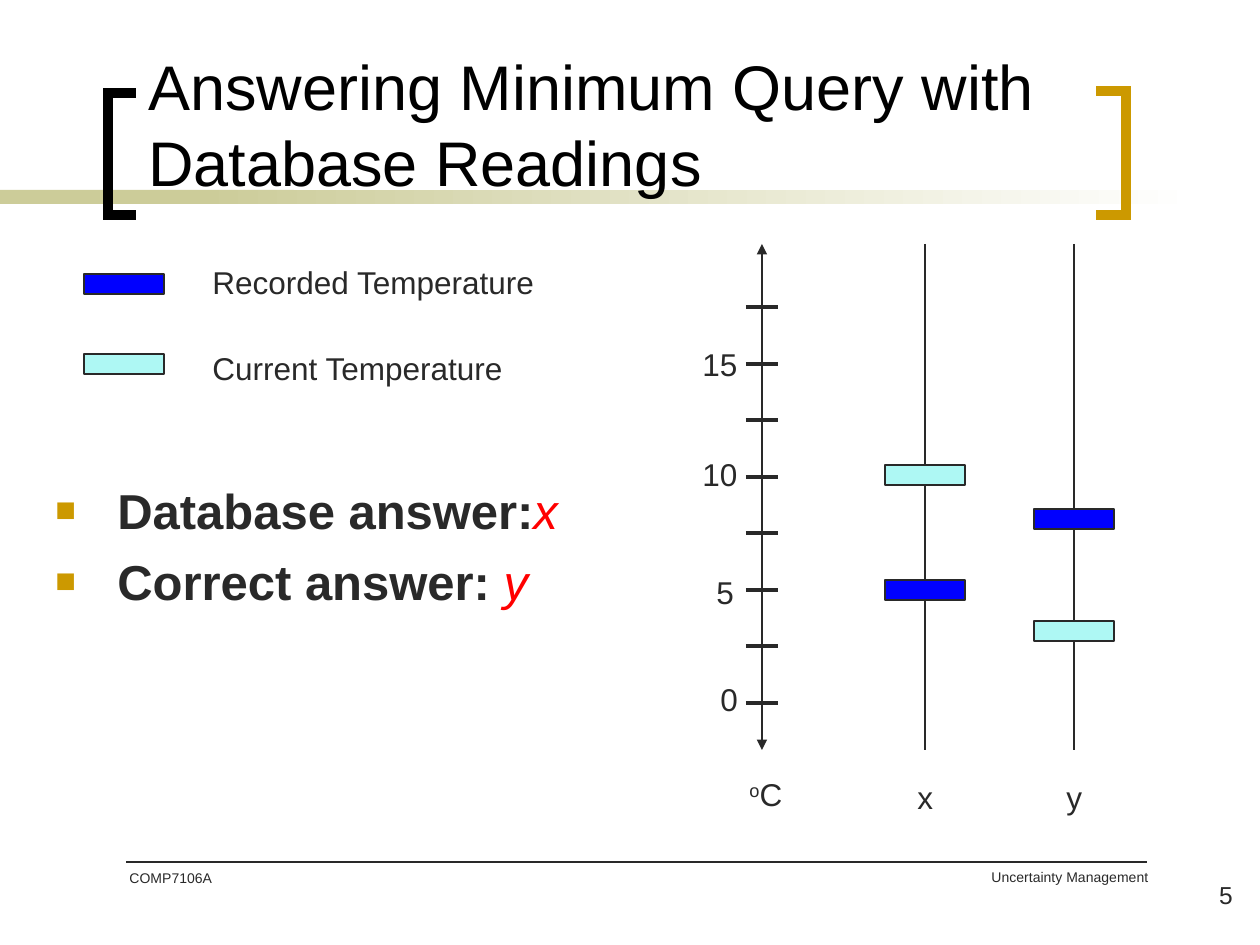
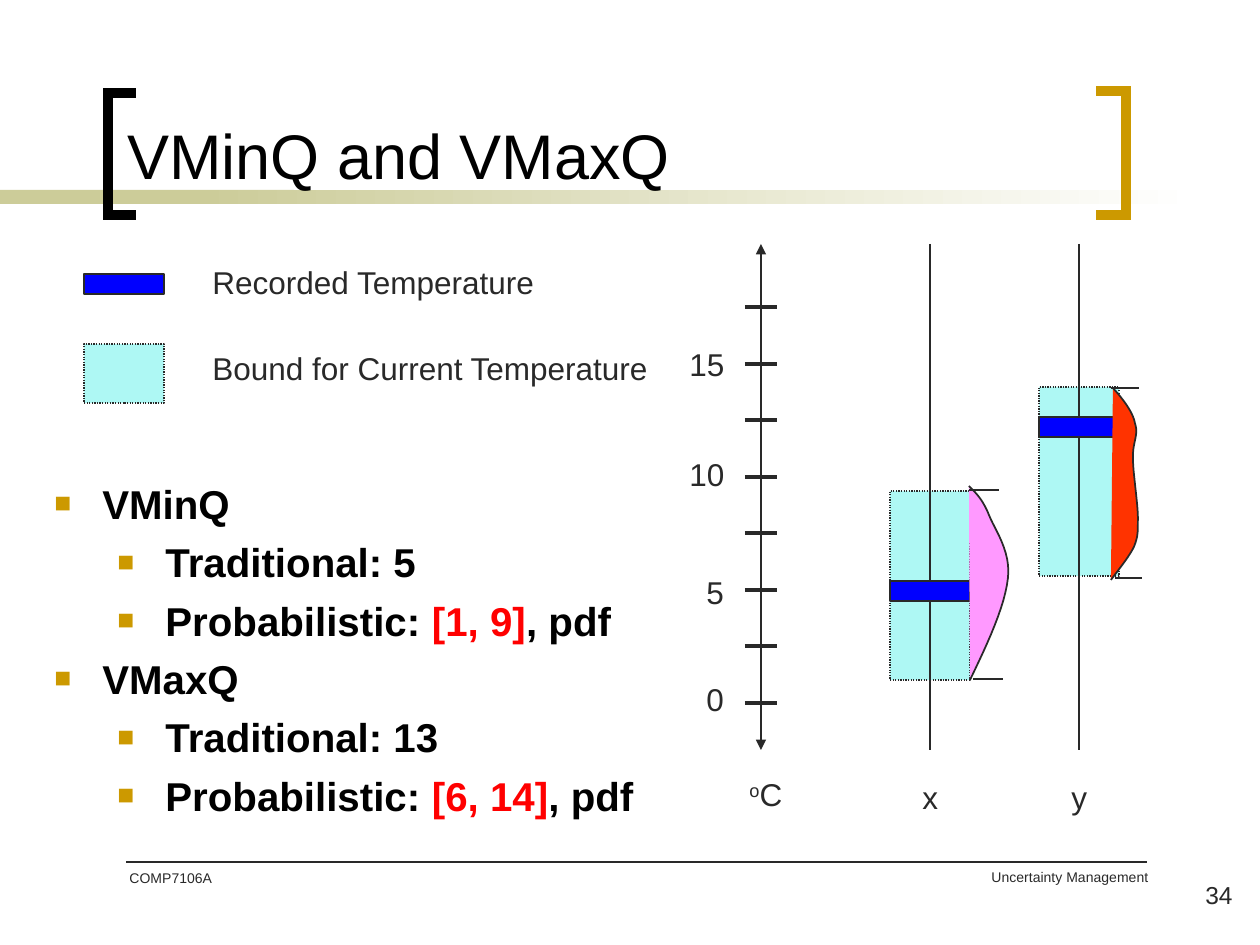
from lxml import etree
from pptx import Presentation
from pptx.dml.color import RGBColor
from pptx.enum.dml import MSO_LINE
from pptx.enum.shapes import MSO_CONNECTOR, MSO_SHAPE
from pptx.enum.text import MSO_ANCHOR, MSO_AUTO_SIZE, PP_ALIGN
from pptx.oxml.ns import qn
from pptx.util import Emu, Pt

STRAIGHT = MSO_CONNECTOR.STRAIGHT
RECTANGLE = MSO_SHAPE.RECTANGLE
DOTTED = MSO_LINE.ROUND_DOT
BOTTOM, TOP = MSO_ANCHOR.BOTTOM, MSO_ANCHOR.TOP
LEFT, RIGHT = PP_ALIGN.LEFT, PP_ALIGN.RIGHT
GROW = MSO_AUTO_SIZE.SHAPE_TO_FIT_TEXT

PX_PER_INCH = 126
FONT = "Arial"
COLORS = {
    "ink": "292929", "black": "000000", "white": "FFFFFF", "gold": "CC9900",
    "band": "CCCC99", "recorded": "0000FF", "current": "AEF8F4",
    "answer": "FF0000", "x_pdf": "FF99FF", "y_pdf": "FF3300",
}

# Content shared by both slides
COURSE, TOPIC = "COMP7106A", "Uncertainty Management"
BRACKETS = [
    ("black", [(136, 215), (108, 215), (108, 93), (136, 93)]),
    ("gold", [(1096, 91), (1126, 91), (1126, 215), (1096, 215)]),
]
AXIS_TOP, AXIS_BOTTOM = 244, 750
TICK_COUNT, FIRST_TICK, LAST_TICK = 8, 307, 703
SCALE_TOPS = {"15": 339, "10": 449, "5": 567, "0": 674}
BAR_WIDTH, BAR_HEIGHT = 80, 20

# Bars are (column, colour, top, height); dotted bars are bounds behind the lines.
# Curves hold a start point and then cubic segments of three points.
SLIDES = [
    {
        "number": "5",
        "title": "Answering Minimum Query with Database Readings",
        "title_box": (136, 74, 1134, 131),
        "legend": [("Recorded Temperature", "recorded", 274, BAR_HEIGHT, False),
                   ("Current Temperature", "current", 354, BAR_HEIGHT, False)],
        "body_box": (43, 474, 553, 344),
        "body_size": 28,
        "body_indent": 62,
        "body_color": "ink",
        "answer_style": {"bold": False, "italic": True},
        "body": [(0, [("Database answer:", False), ("x", True)]),
                 (0, [("Correct answer: ", False), ("y", True)])],
        "axis": 762,
        "scale_lefts": {"15": 690, "10": 690, "5": 704, "0": 708},
        "columns": {"x": 925, "y": 1074},
        "bounds": [],
        "bars": [("x", "current", 465, BAR_HEIGHT), ("y", "current", 621, BAR_HEIGHT),
                 ("x", "recorded", 580, BAR_HEIGHT), ("y", "recorded", 509, BAR_HEIGHT)],
        "densities": [],
    },
    {
        "number": "34",
        "title": "VMinQ and VMaxQ",
        "title_box": (115, 67, 1024, 131),
        "legend": [("Recorded Temperature", "recorded", 274, BAR_HEIGHT, False),
                   ("Bound for Current Temperature", "current", 344, 59, True)],
        "body_box": (42, 473, 670, 357),
        "body_size": 23,
        "body_indent": 48,
        "body_color": "black",
        "answer_style": {"bold": True, "italic": False},
        "body": [(0, [("VMinQ", False)]),
                 (1, [("Traditional: 5", False)]),
                 (1, [("Probabilistic: ", False), ("[1, 9]", True), (", pdf", False)]),
                 (0, [("VMaxQ", False)]),
                 (1, [("Traditional: 13", False)]),
                 (1, [("Probabilistic: ", False), ("[6, 14]", True), (", pdf", False)])],
        "axis": 761,
        "scale_lefts": {"15": 677, "10": 677, "5": 694, "0": 694},
        "columns": {"x": 930, "y": 1079},
        "bounds": [("y", "current", 387, 189), ("x", "current", 491, 189)],
        "bars": [("x", "recorded", 581, BAR_HEIGHT), ("y", "recorded", 417, BAR_HEIGHT)],
        "densities": [
            ("y_pdf", [(1113, 388), (1123, 399), (1133, 412), (1135, 423),
                       (1139, 435), (1133, 441), (1133, 457),
                       (1133, 473), (1138, 503), (1138, 518),
                       (1138, 533), (1138, 537), (1134, 547),
                       (1129, 557), (1120, 568), (1111, 580)],
             [(1111, 1139, 388), (1115, 1142, 578)]),
            ("x_pdf", [(969, 486), (977, 494), (983, 500), (989, 515),
                       (995, 530), (1011, 551), (1008, 578),
                       (1005, 606), (988, 643), (970, 680)],
             [(969, 999, 490), (973, 1003, 679)]),
        ],
    },
]


def px(value):
    return Emu(round(value * 914400 / PX_PER_INCH))


def color(name):
    return RGBColor.from_string(COLORS[name])


def style_run(run, size, color_name, bold=False, italic=False):
    font = run.font
    font.name, font.size = FONT, Pt(size)
    font.bold, font.italic = bold, italic
    font.color.rgb = color(color_name)


def add_text(slide, text, box, size, color_name="ink", align=LEFT, anchor=TOP, wrap=True):
    shape = slide.shapes.add_textbox(*map(px, box))
    frame = shape.text_frame
    frame.word_wrap, frame.vertical_anchor = wrap, anchor
    if not wrap:
        frame.auto_size = GROW
    frame.text = text
    paragraph = frame.paragraphs[0]
    paragraph.alignment = align
    for run in paragraph.runs:
        style_run(run, size, color_name)
    return paragraph


def add_label(slide, text, left, top, width):
    return add_text(slide, text, (left, top, width, 50), 18, wrap=False)


def add_line(slide, start, end, width, arrows=False):
    line = slide.shapes.add_connector(STRAIGHT, *map(px, start + end))
    line.line.color.rgb = color("ink")
    line.line.width = Pt(width)
    etree.SubElement(line._element.spPr, qn("a:effectLst"))
    if arrows:
        outline = line.line._get_or_add_ln()
        for end_tag in ("a:headEnd", "a:tailEnd"):
            etree.SubElement(outline, qn(end_tag), type="triangle")


def add_rectangle(slide, box, fill=None, outlined=True, dotted=False):
    shape = slide.shapes.add_shape(RECTANGLE, *map(px, box))
    shape.shadow.inherit = False
    if fill:
        shape.fill.solid()
        shape.fill.fore_color.rgb = color(fill)
    if outlined:
        shape.line.color.rgb = color("ink")
        shape.line.width = Pt(0.75)
        if dotted:
            shape.line.dash_style = DOTTED
    else:
        shape.line.fill.background()
    return shape


def add_outline(slide, points, line_color, width, fill=None):
    start, *rest = [(px(x), px(y)) for x, y in points]
    builder = slide.shapes.build_freeform(*start)
    builder.add_line_segments(rest, close=False)
    shape = builder.convert_to_shape()
    shape.shadow.inherit = False
    if fill:
        shape.fill.solid()
        shape.fill.fore_color.rgb = color(fill)
    else:
        shape.fill.background()
    shape.line.color.rgb = color(line_color)
    shape.line.width = Pt(width)
    etree.SubElement(shape.line._get_or_add_ln(), qn("a:miter"), lim="800000")


def curve_points(controls, steps=12):
    """Sample a chain of cubic segments."""
    points = [controls[0]]
    for first in range(0, len(controls) - 1, 3):
        segment = controls[first:first + 4]
        for step in range(1, steps + 1):
            t = step / steps
            weights = ((1 - t) ** 3, 3 * t * (1 - t) ** 2, 3 * t ** 2 * (1 - t), t ** 3)
            points.append(tuple(sum(weight * point[axis] for weight, point in zip(weights, segment))
                                for axis in (0, 1)))
    return points


def add_frame(slide, content):
    # Band, brackets and title
    add_rectangle(slide, (0, 190, 294, 14), "band", outlined=False)
    fade = add_rectangle(slide, (199, 190, 998, 14), outlined=False).fill
    fade.gradient()
    fade.gradient_angle = 0
    for stop, name in zip(fade.gradient_stops, ("band", "white")):
        stop.color.rgb = color(name)
    for name, points in BRACKETS:
        add_outline(slide, points, name, 6)
    add_text(slide, content["title"], content["title_box"], 36, "black", anchor=BOTTOM)

    # Footer
    add_line(slide, (126, 862), (1147, 862), 1)
    add_text(slide, COURSE, (117, 863, 147, 63), 8)
    add_text(slide, TOPIC, (639, 862, 522, 63), 8, align=RIGHT)
    add_text(slide, content["number"], (1150, 874, 95, 63), 14, align=RIGHT)


def add_bullet(paragraph, margin, hanging):
    properties = paragraph._p.get_or_add_pPr()
    properties.set("marL", str(px(margin)))
    properties.set("indent", str(-px(hanging)))
    bullet_color = etree.SubElement(properties, qn("a:buClr"))
    etree.SubElement(bullet_color, qn("a:srgbClr"), val=COLORS["gold"])
    etree.SubElement(properties, qn("a:buSzPct"), val="70000")
    etree.SubElement(properties, qn("a:buFont"), typeface=FONT)
    etree.SubElement(properties, qn("a:buChar"), char="■")


def add_body(slide, content):
    frame = slide.shapes.add_textbox(*map(px, content["body_box"])).text_frame
    frame.word_wrap = True
    size, indent = content["body_size"], content["body_indent"]
    for index, (level, pieces) in enumerate(content["body"]):
        paragraph = frame.add_paragraph() if index else frame.paragraphs[0]
        add_bullet(paragraph, indent + level * 63, indent)
        paragraph.level = level
        if index:
            paragraph.space_before = Pt(size / 4)
        for text, is_answer in pieces:
            run = paragraph.add_run()
            run.text = text
            if is_answer:
                style_run(run, size, "answer", **content["answer_style"])
            else:
                style_run(run, size, content["body_color"], bold=True)


def add_legend(slide, content):
    for row, (text, fill, top, height, dotted) in enumerate(content["legend"]):
        add_rectangle(slide, (84, top, BAR_WIDTH, height), fill, dotted=dotted)
        add_label(slide, text, 200, 257 + 86 * row, 465 if dotted else 360)


def add_temperature_plot(slide, content):
    columns = content["columns"]

    def add_bars(bars, dotted):
        for column, fill, top, height in bars:
            left = columns[column] - BAR_WIDTH // 2
            add_rectangle(slide, (left, top, BAR_WIDTH, height), fill, dotted=dotted)

    # Columns and their bars
    add_bars(content["bounds"], dotted=True)
    for name, center in columns.items():
        add_line(slide, (center, AXIS_TOP), (center, AXIS_BOTTOM), 0.75)
        add_label(slide, name, center - 20, 772, 42)
    add_bars(content["bars"], dotted=False)

    # Temperature axis
    axis = content["axis"]
    add_line(slide, (axis, AXIS_TOP), (axis, AXIS_BOTTOM), 0.75, arrows=True)
    for index in range(TICK_COUNT):
        y = FIRST_TICK + index * (LAST_TICK - FIRST_TICK) / (TICK_COUNT - 1)
        add_line(slide, (axis - 16, y), (axis + 16, y), 2.25)
    for text, top in SCALE_TOPS.items():
        add_label(slide, text, content["scale_lefts"][text], top, 43 if len(text) == 1 else 60)
    unit = add_label(slide, "o", 737, 769, 59)
    unit.runs[0].font._element.set("baseline", "30000")
    letter = unit.add_run()
    letter.text = "C"
    style_run(letter, 18, "ink")

    # Probability densities beside the bounds
    for fill, controls, limits in content["densities"]:
        add_outline(slide, curve_points(controls), "ink", 1, fill)
        for left, right, y in limits:
            add_line(slide, (left, y), (right, y), 1)


def main():
    presentation = Presentation()
    presentation.slide_width, presentation.slide_height = px(1260), px(945)
    for content in SLIDES:
        slide = presentation.slides.add_slide(presentation.slide_layouts[6])
        add_frame(slide, content)
        add_body(slide, content)
        add_legend(slide, content)
        add_temperature_plot(slide, content)
    presentation.save("out.pptx")


if __name__ == "__main__":
    main()
